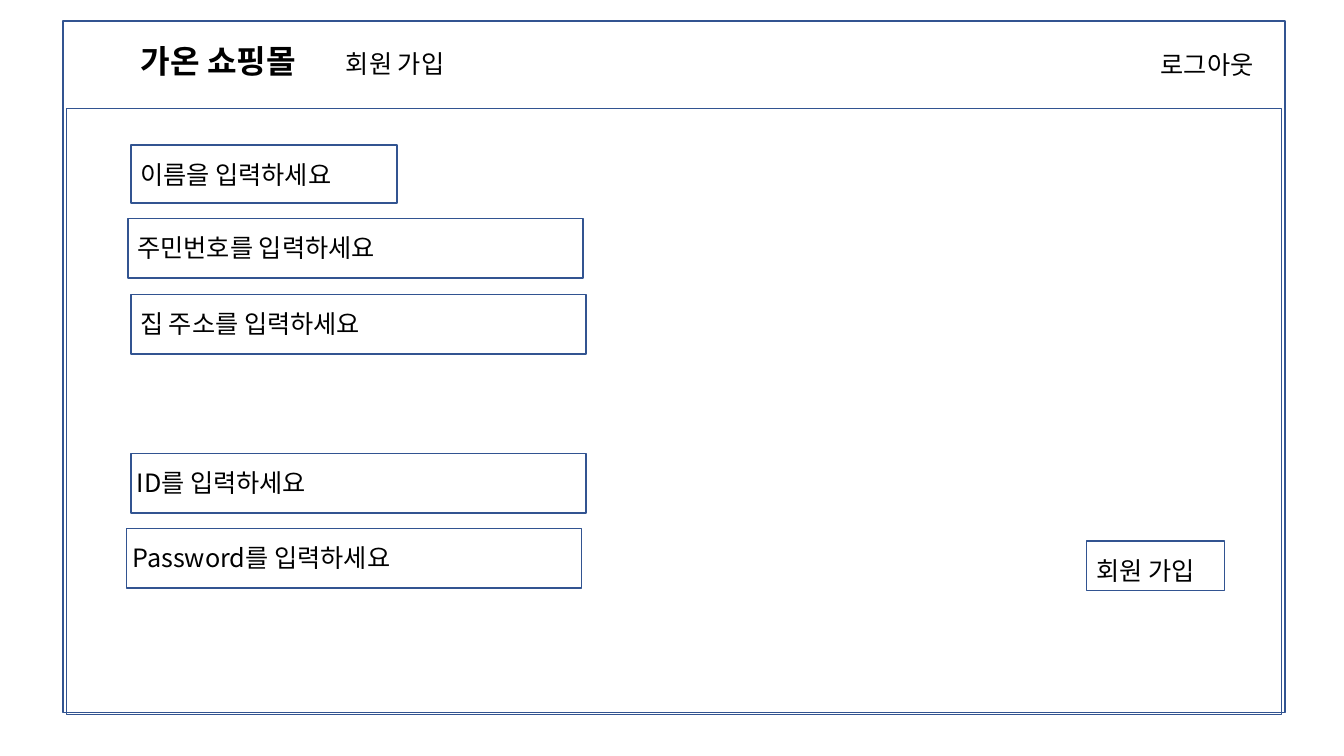
"""Build the member sign-up wireframe slide of a shopping mall."""
from dataclasses import dataclass

from lxml import etree
from pptx import Presentation
from pptx import util as u
from pptx.dml.color import RGBColor
from pptx.enum import shapes, text
from pptx.oxml import ns


@dataclass(frozen=True)
class Theme:
    """Colours, font and type sizes of the slide."""
    line: RGBColor = RGBColor(0x32, 0x54, 0x91)
    ink: RGBColor = RGBColor(0, 0, 0)
    font: str = "Noto Sans CJK KR"
    title: int = 23
    body: int = 18


THEME = Theme()
FIELD_HEIGHT = 42.5
LABEL_DROP = 6.5


def add_frame(s, x, y, w, h):
    """Draw an unfilled outlined rectangle."""
    sp = s.shapes.add_shape(shapes.MSO_SHAPE.RECTANGLE, u.Pt(x), u.Pt(y), u.Pt(w), u.Pt(h))
    sp.shadow.inherit = False
    sp.fill.background()
    sp.line.color.rgb = THEME.line
    sp.line.width = u.Pt(1)


def add_run(p, words, size=THEME.body, bold=False):
    """Append a run in the theme font for Latin and Korean letters."""
    r = p.add_run()
    r.text = words
    r.font.name = THEME.font
    r.font.size = u.Pt(size)
    r.font.bold = bold
    r.font.color.rgb = THEME.ink
    ea = etree.SubElement(r.font._element, ns.qn("a:ea"))
    ea.set("typeface", THEME.font)


def add_text(s, x, y, w, h=29):
    """Place a wrapping text box and return its first paragraph."""
    tf = s.shapes.add_textbox(u.Pt(x), u.Pt(y), u.Pt(w), u.Pt(h)).text_frame
    tf.word_wrap = True
    tf.auto_size = text.MSO_AUTO_SIZE.SHAPE_TO_FIT_TEXT
    return tf.paragraphs[0]


def add_tab_stop(p, position):
    """Set one left tab stop on a paragraph."""
    tabs = etree.SubElement(p._p.get_or_add_pPr(), ns.qn("a:tabLst"))
    etree.SubElement(tabs, ns.qn("a:tab"), pos=str(u.Pt(position)), algn="l")


def add_header(s):
    """Write the mall name, the page name and the logout entry."""
    p = add_text(s, 93.5, 26, 318, 35)
    add_tab_stop(p, 146.5)
    add_run(p, "가온 쇼핑몰", THEME.title, True)
    add_run(p, "\t회원 가입")
    add_run(add_text(s, 822, 31.5, 93), "로그아웃")


def add_field(s, label, x, y, w, h=FIELD_HEIGHT, shift=0, label_width=384):
    """Draw a framed field with its label."""
    add_frame(s, x, y, w, h)
    add_run(add_text(s, x + shift, y + LABEL_DROP, label_width), label)


def main():
    """Build and save the slide."""
    prs = Presentation()
    prs.slide_width, prs.slide_height = u.Pt(960), u.Pt(540)
    s = prs.slides.add_slide(prs.slide_layouts[6])
    add_header(s)
    add_frame(s, 45, 15, 873, 494)
    add_frame(s, 47.5, 77.5, 868, 433)
    add_field(s, "이름을 입력하세요", 93.5, 103.5, 190, 41.5, -0.5, 225)
    for label, x, y, shift in (
        ("주민번호를 입력하세요", 91.5, 156, -0.5),
        ("집 주소를 입력하세요", 93.5, 210.5, -0.5),
        ("ID를 입력하세요", 93.5, 324, -3),
        ("Password를 입력하세요", 90.5, 377.5, -3),
    ):
        add_field(s, label, x, y, 325, shift=shift)
    add_field(s, "회원 가입", 776, 386.5, 98.5, 35.5, label_width=128)
    prs.save("out.pptx")


if __name__ == "__main__":
    main()
